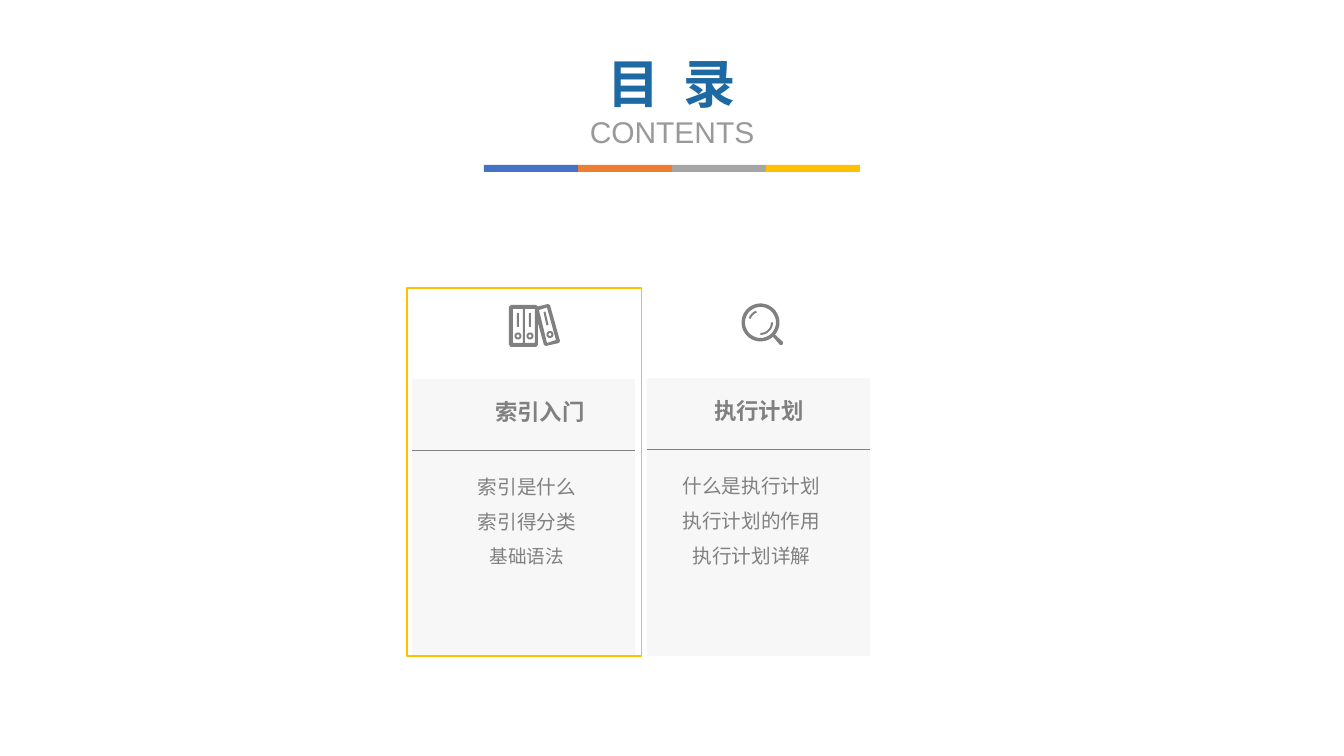
from math import cos, radians, sin

from lxml.etree import SubElement
from pptx import Presentation
from pptx.dml.color import RGBColor
from pptx.enum.shapes import MSO_CONNECTOR, MSO_SHAPE
from pptx.enum.text import PP_ALIGN
from pptx.oxml.ns import qn
from pptx.util import Pt

PX = 9071  # EMU per px, 100.8 px to the inch
GRAY = "808080"
FONT = "Roboto Condensed"


def paint(shape, color):
    """Fill a shape with one colour, without line or shadow."""
    shape.shadow.inherit = False
    shape.fill.solid()
    shape.fill.fore_color.rgb = RGBColor.from_string(color)
    shape.line.fill.background()


def arc(x, y, radius, start=0, end=360):
    """Return points along an arc, with angles in degrees clockwise from the right."""
    angles = [radians(start + (end - start) * step / 36) for step in range(37)]
    return [(x + radius * cos(angle), y + radius * sin(angle)) for angle in angles]


presentation = Presentation()
presentation.slide_width = 1344 * PX
presentation.slide_height = 756 * PX
slide = presentation.slides.add_slide(presentation.slide_layouts[6])

# Four-coloured rule below the title
rule = slide.shapes.add_group_shape()
for index, color in enumerate(["4472C4", "ED7D31", "A5A5A5", "FFC000"]):
    bar = rule.shapes.add_shape(
        MSO_SHAPE.RECTANGLE, (484 + 94 * index) * PX, 165 * PX, 94 * PX, 7 * PX)
    paint(bar, color)

# Chapter panels, each with a dividing line
for left, top in [(412, 379), (647, 378)]:
    chapter = slide.shapes.add_group_shape()
    panel = chapter.shapes.add_shape(
        MSO_SHAPE.RECTANGLE, left * PX, top * PX, 223 * PX, 278 * PX)
    paint(panel, "D9D9D9")
    panel_color = panel._element.xpath("./p:spPr/a:solidFill/a:srgbClr")[0]
    SubElement(panel_color, qn("a:alpha"), val="20000")
    divider = chapter.shapes.add_connector(
        MSO_CONNECTOR.STRAIGHT, left * PX, (top + 71) * PX, (left + 223) * PX, (top + 71) * PX)
    divider.line.color.rgb = RGBColor.from_string(GRAY)
    divider.line.width = Pt(0.5)
    SubElement(divider._element.spPr, qn("a:effectLst"))

# Icons: nested contours cut holes in the ones around them
binders = [
    [(509, 307), (511, 305), (536, 305), (538, 306.5), (548, 304), (550, 305), (560, 341),
     (559, 343), (546, 346), (544, 345), (538, 323), (538, 345), (536, 347), (511, 347),
     (509, 345)],
    [(539, 310), (547, 307.5), (556, 340), (547, 343)],
    [(543.5, 312), (545.5, 311.5), (548.5, 325), (546.5, 325.5)],
]
for left in (513, 525):
    binders.append([(left, 309), (left + 10, 309), (left + 10, 343), (left, 343)])
    binders.append([(left + 4, 313), (left + 6, 313), (left + 6, 327), (left + 4, 327)])
for x, y in [(518, 336), (530, 336), (550, 334.5)]:
    binders += [arc(x, y, 3.5), arc(x, y, 1.5)]

lens = (760.5, 322.5)
magnifier = [
    arc(*lens, 19, 49, 400) + [(783, 342), (783, 344), (782, 345), (780, 345)],
    arc(*lens, 15.5),
]
for start, end in [(0, 90), (200, 250)]:
    magnifier.append(arc(*lens, 12.5, start, end) + arc(*lens, 10.5, end, start))

for contours in (binders, magnifier):
    builder = None
    for contour in contours:
        points = [(x * 10, y * 10) for x, y in contour]
        if builder is None:
            builder = slide.shapes.build_freeform(*points[0], scale=PX / 10)
        else:
            builder.move_to(*points[0])
        builder.add_line_segments(points[1:], close=True)
    paint(builder.convert_to_shape(), GRAY)

# Texts: left, top, width, height, line spacing,
# then lines of text, size, font, colour, bold
texts = [
    (563, 46, 218, 110, 1, [("目  录", 37.4, FONT, "1D69A3", True),
                            ("CONTENTS", 21.4, "Arial", "999999", False)]),
    (630, 457, 243, 209, 1.5, [("什么是执行计划", 14, FONT, GRAY, False),
                               ("执行计划的作用", 14, FONT, GRAY, False),
                               ("执行计划详解", 14, FONT, GRAY, False)]),
    (452, 458, 150, 183, 1.5, [("索引是什么", 14, FONT, GRAY, False),
                               ("索引得分类", 14, FONT, GRAY, False),
                               ("基础语法", 13.3, FONT, GRAY, False)]),
    (694, 392, 130, 37, 1, [("执行计划", 16, FONT, GRAY, True)]),
    (456, 393, 168, 37, 1, [("索引入门", 16, FONT, GRAY, True)]),
]
for left, top, width, height, spacing, lines in texts:
    text_frame = slide.shapes.add_textbox(
        left * PX, top * PX, width * PX, height * PX).text_frame
    text_frame.word_wrap = True
    text_frame.text = "\n".join(line[0] for line in lines)
    for paragraph, (_, size, font, color, bold) in zip(text_frame.paragraphs, lines):
        paragraph.alignment = PP_ALIGN.CENTER
        paragraph.line_spacing = spacing
        paragraph.font.size = Pt(size)
        paragraph.font.name = font
        paragraph.font.bold = bold
        paragraph.font.color.rgb = RGBColor.from_string(color)

# Frame around the current chapter
frame = slide.shapes.add_shape(
    MSO_SHAPE.RECTANGLE, 407 * PX, 288 * PX, 235 * PX, 368 * PX)
frame.shadow.inherit = False
frame.fill.background()
frame.line.color.rgb = RGBColor.from_string("FFC000")
frame.line.width = Pt(0.75)

presentation.save("out.pptx")
